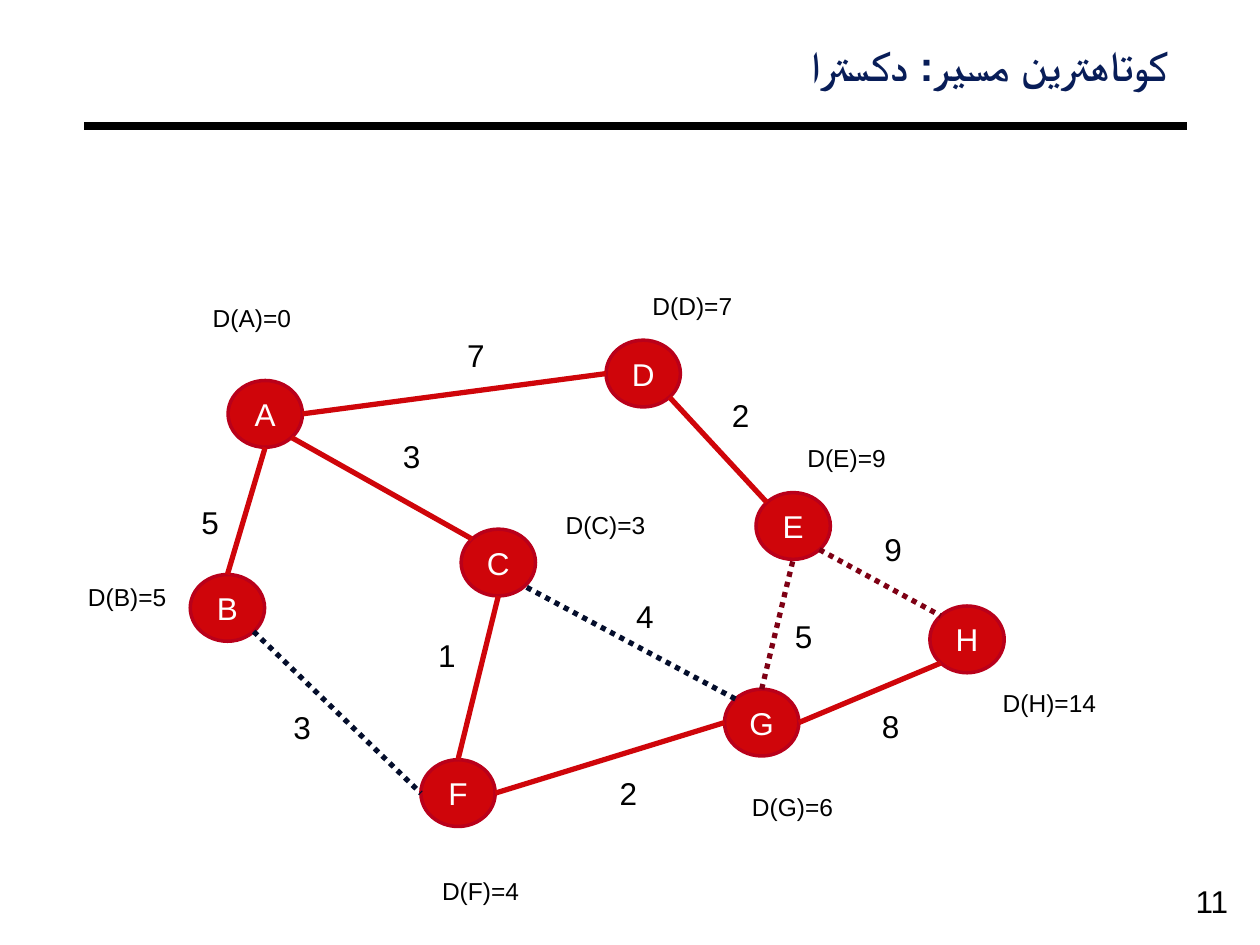
"""Build a slide with a weighted graph and its Dijkstra shortest distances."""
from lxml.etree import SubElement
from math import cos, radians, sin
from pptx import Presentation
from pptx.dml.color import RGBColor
from pptx.enum.dml import MSO_LINE
from pptx.enum.shapes import MSO_CONNECTOR, MSO_SHAPE
from pptx.enum.text import MSO_ANCHOR as Anchor, MSO_AUTO_SIZE as AutoSize, PP_ALIGN as Align
from pptx.oxml.ns import qn
from pptx.util import Inches, Pt

BLACK = RGBColor(0x00, 0x00, 0x00)
WHITE = RGBColor(0xFF, 0xFF, 0xFF)
NAVY = RGBColor(0x08, 0x1D, 0x58)
RED = RGBColor(0xCF, 0x05, 0x0A)
RIM = RGBColor(0xB9, 0x00, 0x1A)
MAROON = RGBColor(0x7E, 0x00, 0x14)
INK = RGBColor(0x04, 0x0E, 0x2C)

NODE_WIDTH, NODE_HEIGHT = 0.59, 0.53
ANGLES = {"right": 0, "lower right": 45, "bottom": 90, "lower left": 135,
          "left": 180, "upper left": 225, "top": 270}

deck = Presentation()
deck.slide_width, deck.slide_height = Inches(10), Inches(7.5)
page = deck.slides.add_slide(deck.slide_layouts[5])


def add_line(start, end, color, width):
    line = page.shapes.add_connector(
        MSO_CONNECTOR.STRAIGHT, *[Inches(value) for value in (*start, *end)])
    line.line.color.rgb = color
    line.line.width = Pt(width)
    SubElement(line._element.spPr, qn("a:effectLst"))
    return line


def add_text(shape, text, size, color):
    para = shape.text_frame.paragraphs[0]
    span = para.add_run()
    span.text = text
    span.font.name = "Arial"
    span.font.size = Pt(size)
    span.font.color.rgb = color
    return para


add_line((0.67, 1), (9.42, 1), BLACK, 4.5)

title = page.shapes.title
title.left, title.top, title.width, title.height = (
    Inches(0.67), Inches(0.34), Inches(8.67), Inches(0.42))
frame = title.text_frame
frame.auto_size = AutoSize.SHAPE_TO_FIT_TEXT
frame.vertical_anchor = Anchor.TOP
frame.margin_left = frame.margin_right = Inches(0.07)
frame.margin_top = frame.margin_bottom = Inches(0.03)
para = add_text(title, "کوتاهترین مسیر: دکسترا", 24, NAVY)
para.alignment = Align.RIGHT
para.line_spacing = 0.87
para._p.get_or_add_pPr().set("rtl", "1")
font = para.runs[0].font
font.name = "Lato"
font.bold = True
SubElement(font._element, qn("a:cs")).set("typeface", "Arial")

nodes = {"A": (1.81, 3.02), "B": (1.51, 4.56), "C": (3.66, 4.2), "D": (4.81, 2.7),
         "E": (6, 3.91), "F": (3.34, 6.03), "G": (5.75, 5.47), "H": (7.38, 4.81)}
for name, (left, top) in nodes.items():
    node = page.shapes.add_shape(MSO_SHAPE.OVAL, Inches(left), Inches(top),
                                 Inches(NODE_WIDTH), Inches(NODE_HEIGHT))
    node.shadow.inherit = False
    node.fill.solid()
    node.fill.fore_color.rgb = RED
    node.line.color.rgb = RIM
    node.line.width = Pt(2)
    node.text_frame.vertical_anchor = Anchor.MIDDLE
    add_text(node, name, 18, WHITE).alignment = Align.CENTER

edges = [
    ("B", "top", "A", "bottom", RED),
    ("A", "right", "D", "left", RED),
    ("D", "lower right", "E", "upper left", RED),
    ("C", "bottom", "F", "top", RED),
    ("F", "right", "G", "left", RED),
    ("C", "upper left", "A", "lower right", RED),
    ("G", "top", "E", "bottom", MAROON),
    ("B", "lower right", "F", "left", INK),
    ("G", "upper left", "C", "lower right", INK),
    ("E", "lower right", "H", "upper left", MAROON),
    ("H", "lower left", "G", "right", RED),
]
for start, start_side, end, end_side, color in edges:
    points = []
    for name, side in ((start, start_side), (end, end_side)):
        left, top = nodes[name]
        angle = radians(ANGLES[side])
        points.append((left + NODE_WIDTH / 2 * (1 + cos(angle)),
                       top + NODE_HEIGHT / 2 * (1 + sin(angle))))
    edge = add_line(*points, color, 3)
    if color != RED:
        edge.line.dash_style = MSO_LINE.ROUND_DOT

weights = [("5", 1.5, 3.94), ("3", 3.1, 3.42), ("7", 3.61, 2.62), ("2", 5.71, 3.09),
           ("1", 3.38, 5), ("3", 2.23, 5.57), ("2", 4.82, 6.09), ("4", 4.95, 4.69),
           ("5", 6.21, 4.85), ("9", 6.92, 4.16), ("8", 6.9, 5.56)]
distances = [("D(C)=3", 4.39, 4, 0.85), ("D(A)=0", 1.59, 2.36, 0.83),
             ("D(F)=4", 3.41, 6.9, 0.82), ("D(G)=6", 5.87, 6.24, 0.86),
             ("D(B)=5", 0.6, 4.57, 0.83), ("D(D)=7", 5.08, 2.26, 0.85),
             ("D(E)=9", 6.31, 3.47, 0.83), ("D(H)=14", 7.86, 5.41, 0.95)]
labels = [(*weight, 0.34, 0.4, 18) for weight in weights]
labels += [(*distance, 0.34, 14) for distance in distances]
for text, left, top, width, height, size in labels:
    box = page.shapes.add_textbox(Inches(left), Inches(top), Inches(width), Inches(height))
    box.text_frame.word_wrap = False
    box.text_frame.auto_size = AutoSize.SHAPE_TO_FIT_TEXT
    add_text(box, text, size, BLACK)

number = page.shapes.add_textbox(Inches(9.39), Inches(6.95), Inches(0.61), Inches(0.4))
number.text_frame.word_wrap = True
add_text(number, "11", 18, BLACK)

deck.save("out.pptx")
